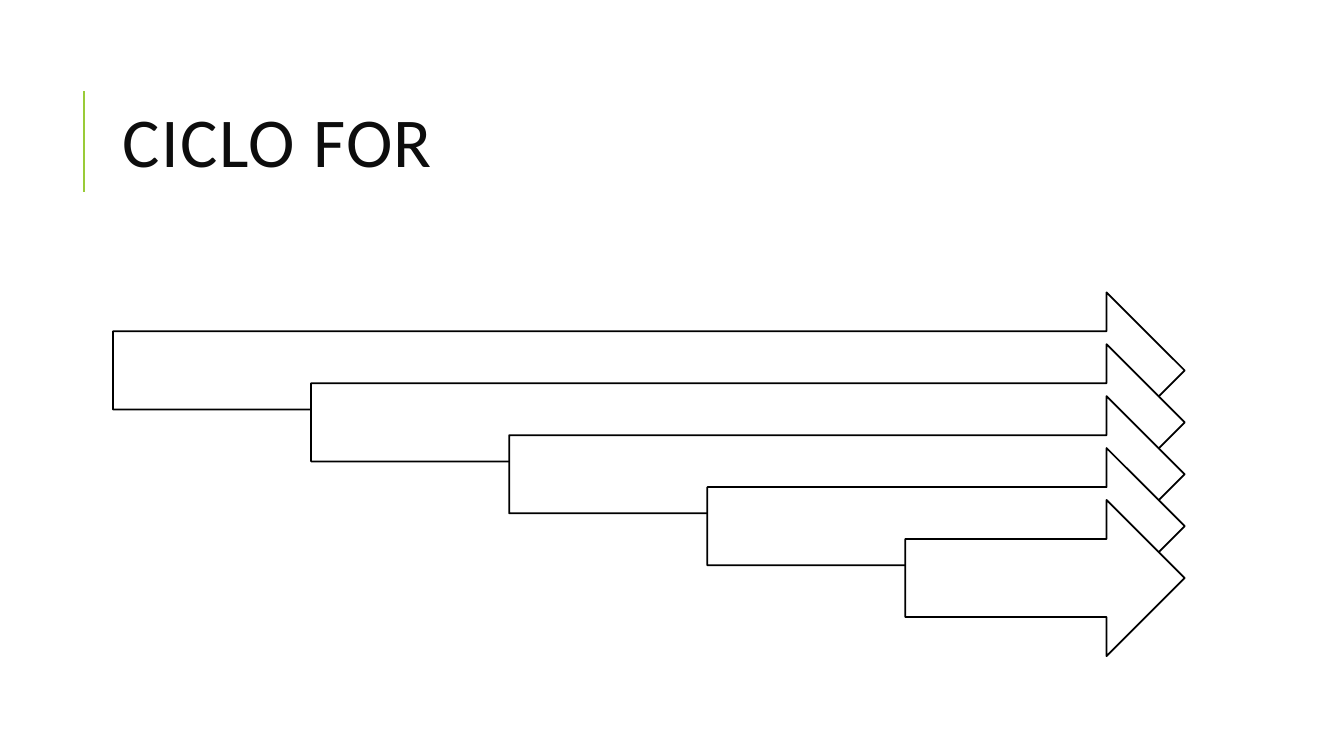
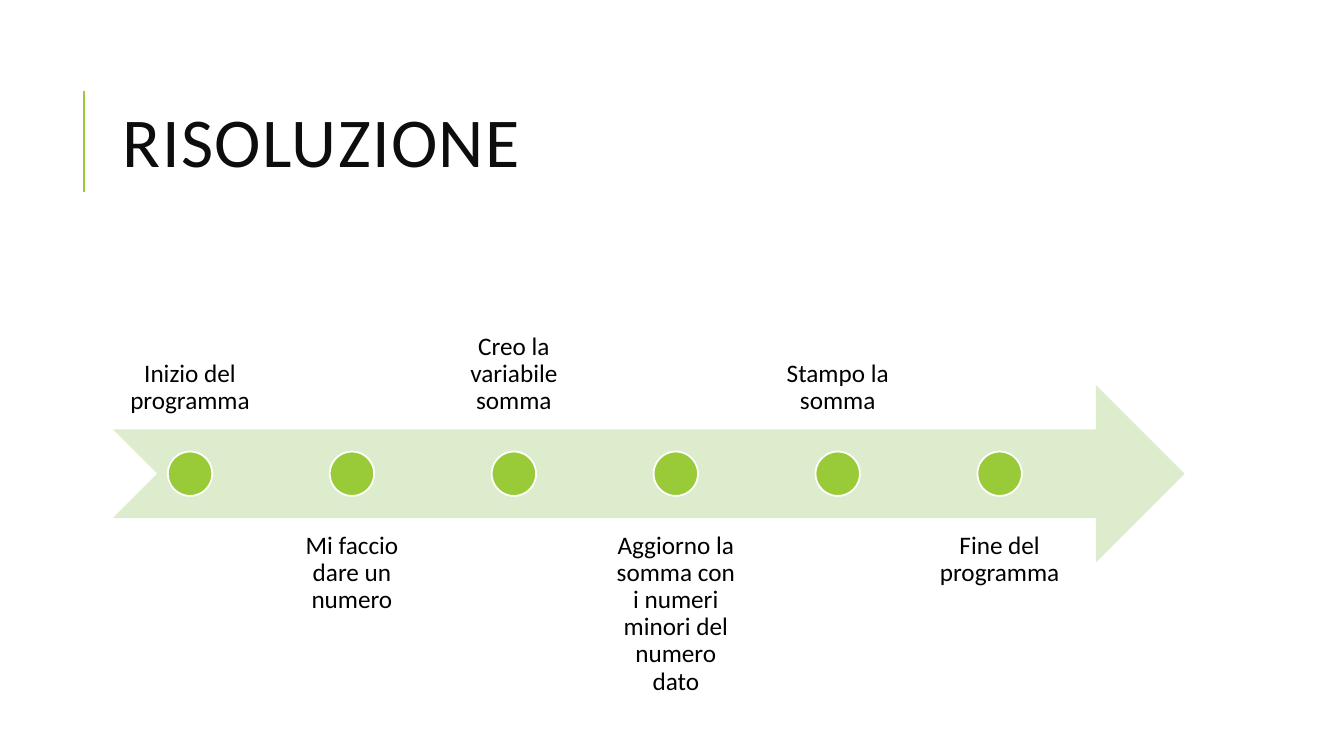
import pptx
import pptx.util
from pptx.dml.color import RGBColor
from pptx.enum.shapes import MSO_CONNECTOR, MSO_SHAPE
from pptx.enum.text import MSO_ANCHOR, PP_ALIGN
from pptx.oxml.ns import qn
from pptx.util import Inches, Pt
from lxml import etree

GREEN = RGBColor(0x99, 0xCB, 0x38)
PALE_GREEN = RGBColor(0xDE, 0xEC, 0xCE)
WHITE = RGBColor(0xFF, 0xFF, 0xFF)
BLACK = RGBColor(0x00, 0x00, 0x00)
TITLE_COLOR = RGBColor(0x0D, 0x0D, 0x0D)
FONT = "Calibri"
LEFT, WIDTH = 1.12, 10.63

prs = pptx.Presentation()
prs.slide_width, prs.slide_height = Inches(13.33), Inches(7.5)


def add_text(s, text, box, size, color, anchor, spacing, inset=None):
    tb = s.shapes.add_textbox(*[Inches(v) for v in box])
    tf = tb.text_frame
    tf.word_wrap = True
    tf.vertical_anchor = anchor
    if inset is not None:
        tf.margin_left = tf.margin_right = Inches(inset)
        tf.margin_top = tf.margin_bottom = Inches(inset)
    p = tf.paragraphs[0]
    p.text = text
    p.line_spacing = spacing
    r = p.runs[0]
    r.font.name, r.font.size = FONT, Pt(size)
    r.font.color.rgb = color
    return p


def add_shape(s, kind, box, fill, line=None):
    sp = s.shapes.add_shape(kind, *[Inches(v) for v in box])
    sp.shadow.inherit = False
    sp.fill.solid()
    sp.fill.fore_color.rgb = fill
    if line is None:
        sp.line.fill.background()
    else:
        sp.line.color.rgb = line
        sp.line.width = Pt(1.25)


slides = []
for title in ("CICLO FOR", "RISOLUZIONE"):
    s = prs.slides.add_slide(prs.slide_layouts[6])
    rule = s.shapes.add_connector(MSO_CONNECTOR.STRAIGHT, Inches(0.83), Inches(1.9),
                                  Inches(0.83), Inches(0.9))
    rule.line.color.rgb = GREEN
    rule.line.width = Pt(1.5)
    etree.SubElement(rule._element.spPr, qn("a:effectLst"))
    p = add_text(s, title, (LEFT, 0.64, WIDTH, 1.64), 50, TITLE_COLOR,
                 MSO_ANCHOR.MIDDLE, 0.8)
    p.runs[0].font._element.set("spc", "100")
    slides.append(s)

loop_slide, steps_slide = slides

# Nested arrows share one right edge
for i in range(5):
    indent = i * 1.965
    add_shape(loop_slide, MSO_SHAPE.RIGHT_ARROW,
              (LEFT + indent, 2.9 + i * 0.515, WIDTH - indent, 1.55), WHITE, BLACK)

# Timeline with labels alternating above and below
steps = ["Inizio del programma", "Mi faccio dare un numero",
         "Creo la variabile somma",
         "Aggiorno la somma con i numeri minori del numero dato",
         "Stampo la somma", "Fine del programma"]
LABEL_W, BAND_H, DOT, PITCH = 1.53, 1.76, 0.44, 1.606
add_shape(steps_slide, MSO_SHAPE.NOTCHED_RIGHT_ARROW,
          (LEFT, 3.82, WIDTH, BAND_H), PALE_GREEN)
for i, step in enumerate(steps):
    x = LEFT + i * PITCH
    top, anchor = (5.14, MSO_ANCHOR.TOP) if i % 2 else (2.5, MSO_ANCHOR.BOTTOM)
    p = add_text(steps_slide, step, (x, top, LABEL_W, BAND_H), 18, BLACK,
                 anchor, 0.9, inset=0.14)
    p.alignment = PP_ALIGN.CENTER
    add_shape(steps_slide, MSO_SHAPE.OVAL,
              (x + (LABEL_W - DOT) / 2, 4.48, DOT, DOT), GREEN, WHITE)

prs.save("out.pptx")
